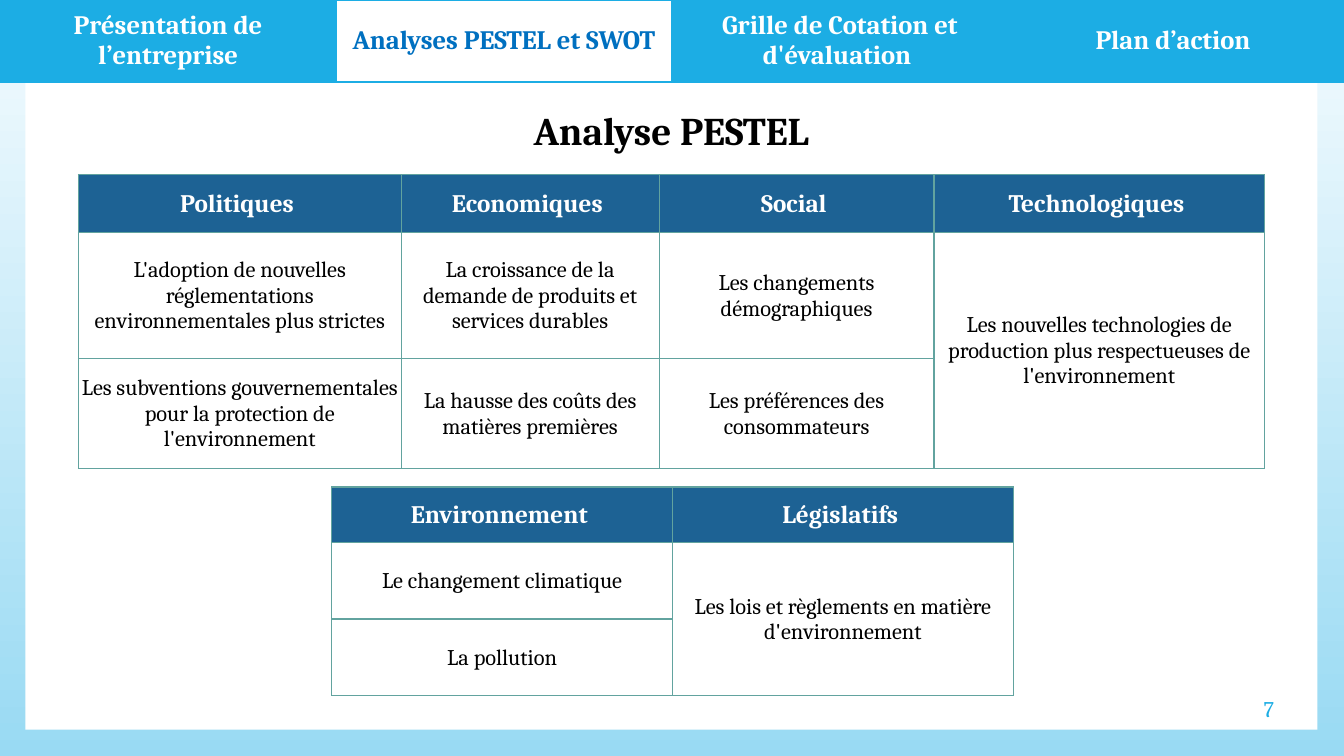
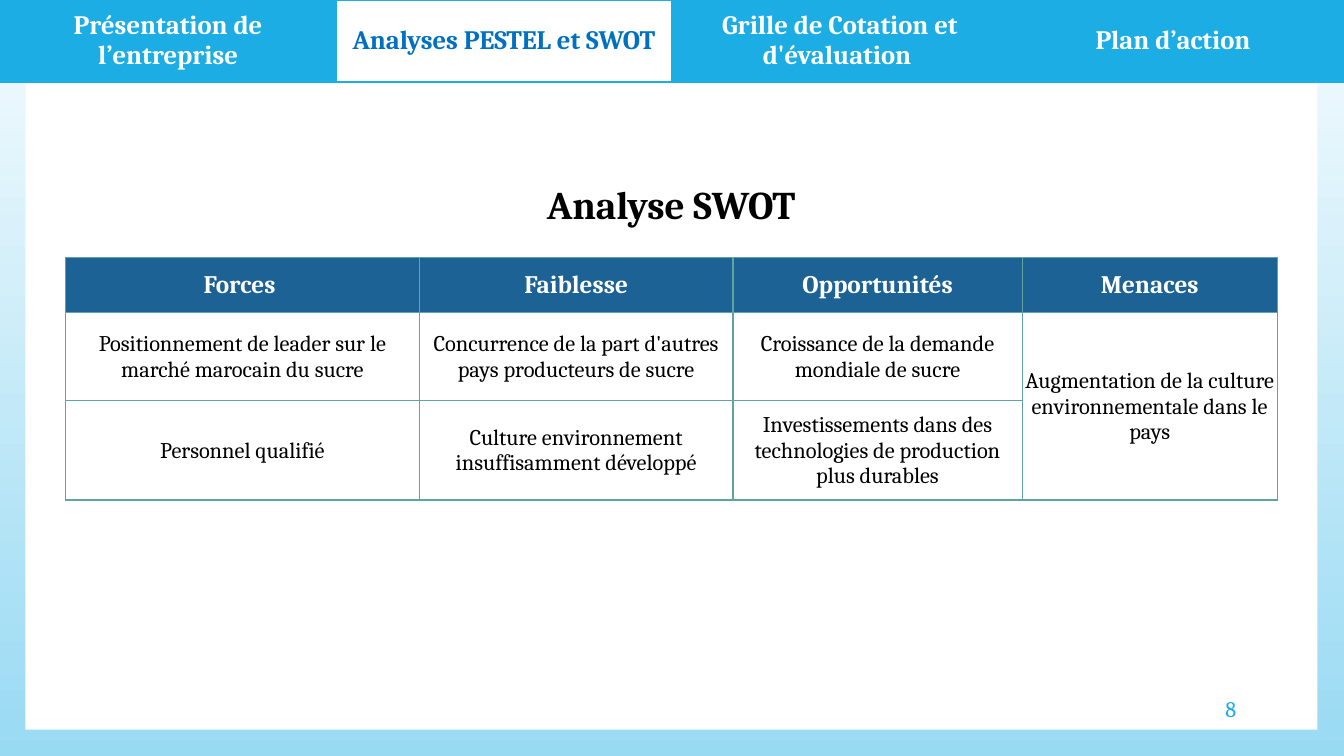
from dataclasses import dataclass

import pptx
import pptx.dml.color
import pptx.enum.shapes
import pptx.enum.text
import pptx.oxml.ns
import pptx.util
from lxml import etree
from pptx.util import Cm, Pt

ALIGN = pptx.enum.text.PP_ALIGN
MIDDLE = pptx.enum.text.MSO_ANCHOR.MIDDLE


# Theme
@dataclass(frozen=True)
class Theme:
    font: str = "Cambria"
    sky_top: str = "F4FBFE"
    sky_bottom: str = "99DAF3"
    white: str = "FFFFFF"
    black: str = "000000"
    accent: str = "1CADE4"
    active: str = "0070C0"
    header: str = "1D6294"
    grid: str = "62A39F"
    title_size: float = 28
    menu_size: float = 19
    header_size: float = 18
    body_size: float = 16


T = Theme()


# Content records
@dataclass(frozen=True)
class Box:
    left: float
    top: float
    width: float
    height: float

    def emu(self) -> tuple:
        return Cm(self.left), Cm(self.top), Cm(self.width), Cm(self.height)


@dataclass(frozen=True)
class Grid:
    """A header row and body rows; None continues the cell above."""
    left: float
    top: float
    cols: tuple
    rows: tuple
    cells: tuple


@dataclass(frozen=True)
class Page:
    title: str
    title_box: Box
    grids: tuple
    number: str
    number_box: Box


PANEL = Box(0.64, 0.69, 32.56, 17.7)
MENU_HEIGHT = 2.06
MENU = ("Présentation de l’entreprise", "Analyses PESTEL et SWOT",
        "Grille de Cotation et d'évaluation ", "Plan d’action ")
ACTIVE_ITEM = 1

PAGES = (
    Page(
        "Analyse PESTEL", Box(3.68, 2.54, 26.47, 1.45),
        (
            Grid(1.98, 4.4, (8.13, 6.5, 6.93, 8.33), (1.45, 3.18, 2.77), (
                ("Politiques ", "Economiques ", "Social ", "Technologiques "),
                ("L'adoption de nouvelles réglementations environnementales plus strictes",
                 "La croissance de la demande de produits et services durables",
                 "Les changements démographiques",
                 "Les nouvelles technologies de production plus respectueuses de l'environnement"),
                ("Les subventions gouvernementales pour la protection de l'environnement",
                 "La hausse des coûts des matières premières",
                 "Les préférences des consommateurs", None),
            )),
            Grid(8.36, 12.27, (8.59, 8.59), (1.4, 1.93, 1.93), (
                ("Environnement ", "Législatifs "),
                ("Le changement climatique",
                 "Les lois et règlements en matière d'environnement"),
                ("La pollution", None),
            )),
        ),
        "7", Box(30.63, 17.35, 1.73, 1.02),
    ),
    Page(
        "Analyse SWOT", Box(1.65, 4.42, 30.53, 1.45),
        (
            Grid(1.65, 6.48, (8.92, 7.9, 7.29, 6.43), (1.4, 2.21, 2.51), (
                ("Forces ", "Faiblesse", "Opportunités", "Menaces"),
                ("Positionnement de leader sur le marché marocain du sucre",
                 "Concurrence de la part d'autres pays producteurs de sucre",
                 "Croissance de la demande mondiale de sucre",
                 "Augmentation de la culture environnementale dans le pays"),
                ("Personnel qualifié", "Culture environnement insuffisamment développé",
                 "Investissements dans des technologies de production plus durables", None),
            )),
        ),
        "8", Box(30.63, 17.35, 0.76, 1.02),
    ),
)


# Helpers
def rgb(value: str) -> pptx.dml.color.RGBColor:
    return pptx.dml.color.RGBColor.from_string(value)


def paint(fill, color: str) -> None:
    fill.solid()
    fill.fore_color.rgb = rgb(color)


def write(tf, text: str, size: float, color: str, bold: bool = False,
          align=ALIGN.CENTER) -> None:
    tf.text = text
    p = tf.paragraphs[0]
    p.alignment = align
    for r in p.runs:
        r.font.name = T.font
        r.font.size = Pt(size)
        r.font.bold = bold
        r.font.color.rgb = rgb(color)


def set_borders(cell, color: str, bottom: float = 1) -> None:
    """Line all four sides; only the bottom width may differ from 1 pt."""
    qn = pptx.oxml.ns.qn
    tc_pr = cell._tc.get_or_add_tcPr()
    for i, (side, width) in enumerate((("L", 1), ("R", 1), ("T", 1), ("B", bottom))):
        ln = etree.Element(qn(f"a:ln{side}"), w=str(Pt(width)))
        solid = etree.SubElement(ln, qn("a:solidFill"))
        etree.SubElement(solid, qn("a:srgbClr"), val=color)
        tc_pr.insert(i, ln)


def add_plain_table(s, left: int, top: int, cols: list, rows: list):
    table = s.shapes.add_table(len(rows), len(cols), left, top,
                               sum(cols), sum(rows)).table
    table.horz_banding = False
    for column, width in zip(table.columns, cols):
        column.width = width
    for row, height in zip(table.rows, rows):
        row.height = height
    return table


# Slide parts
def add_panel(s) -> None:
    sp = s.shapes.add_shape(pptx.enum.shapes.MSO_SHAPE.RECTANGLE, *PANEL.emu())
    sp.shadow.inherit = False
    paint(sp.fill, T.white)
    sp.line.fill.background()
    s.shapes._spTree.insert(2, sp._element)  # behind the title


def add_title(s, text: str, box: Box) -> None:
    sp = s.shapes.title
    sp.left, sp.top, sp.width, sp.height = box.emu()
    paint(sp.fill, T.white)
    tf = sp.text_frame
    tf.auto_size = pptx.enum.text.MSO_AUTO_SIZE.NONE
    tf.vertical_anchor = MIDDLE
    write(tf, text, T.title_size, T.black, bold=True)


def add_menu(s, slide_width: int) -> None:
    cols = [slide_width // len(MENU)] * len(MENU)
    table = add_plain_table(s, 0, 0, cols, [Cm(MENU_HEIGHT)])
    for i, text in enumerate(MENU):
        fill, color = (T.white, T.active) if i == ACTIVE_ITEM else (T.accent, T.white)
        cell = table.cell(0, i)
        cell.vertical_anchor = MIDDLE
        set_borders(cell, T.accent, bottom=2)
        paint(cell.fill, fill)
        write(cell.text_frame, text, T.menu_size, color, bold=True)


def add_grid(s, grid: Grid) -> None:
    table = add_plain_table(s, Cm(grid.left), Cm(grid.top),
                            [Cm(w) for w in grid.cols], [Cm(h) for h in grid.rows])
    for i, texts in enumerate(grid.cells):
        for j, text in enumerate(texts):
            cell = table.cell(i, j)
            cell.vertical_anchor = MIDDLE
            cell.margin_left = cell.margin_right = cell.margin_top = Cm(0.03)
            cell.margin_bottom = 0
            set_borders(cell, T.grid)
            paint(cell.fill, T.white if i else T.header)
            if text is None:
                table.cell(i - 1, j).merge(cell)
            elif i == 0:
                write(cell.text_frame, text, T.header_size, T.white, bold=True)
            else:
                write(cell.text_frame, text, T.body_size, T.black)


def add_number(s, text: str, box: Box) -> None:
    tf = s.shapes.add_textbox(*box.emu()).text_frame
    tf.word_wrap = True
    tf.vertical_anchor = MIDDLE
    write(tf, text, T.body_size, T.accent, align=ALIGN.RIGHT)


def set_background(master) -> None:
    fill = master.background.fill
    fill.gradient()
    fill.gradient_angle = 270  # top to bottom
    for stop, color in zip(fill.gradient_stops, (T.sky_top, T.sky_bottom)):
        stop.color.rgb = rgb(color)


def main() -> None:
    prs = pptx.Presentation()
    prs.slide_width, prs.slide_height = Cm(33.87), Cm(19.05)
    set_background(prs.slide_master)
    title_only = prs.slide_layouts[5]
    for page in PAGES:
        s = prs.slides.add_slide(title_only)
        add_panel(s)
        add_title(s, page.title, page.title_box)
        for grid in page.grids:
            add_grid(s, grid)
        add_menu(s, prs.slide_width)
        add_number(s, page.number, page.number_box)
    prs.save("out.pptx")


if __name__ == "__main__":
    main()
